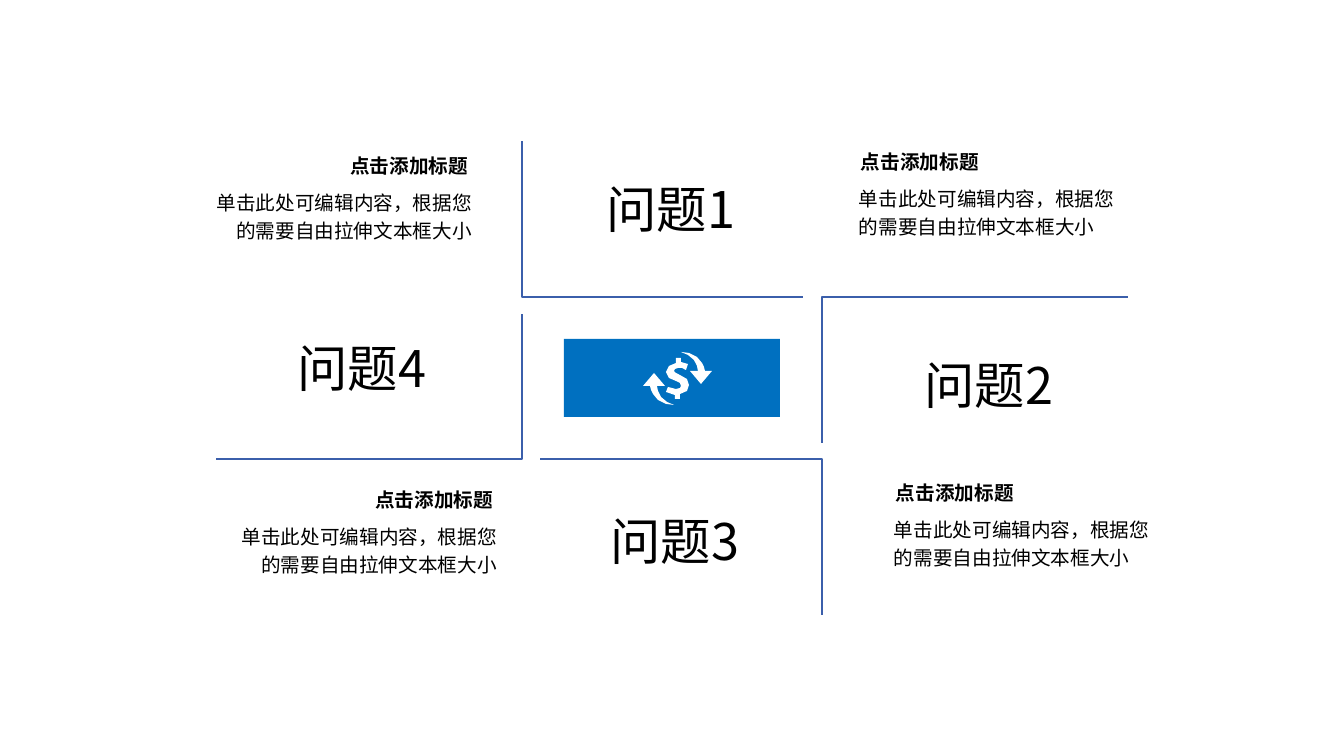
"""Build a slide with four questions pinwheeled around a money-cycle icon."""
import pptx
import pptx.util
from lxml import etree
from pptx.dml.color import RGBColor
from pptx.enum.shapes import MSO_SHAPE
from pptx.enum.text import MSO_ANCHOR, MSO_AUTO_SIZE, PP_ALIGN
from pptx.oxml.ns import qn

PX = 914400 / 100.8
LINE = RGBColor(0x3B, 0x5F, 0xAB)
BLUE = RGBColor(0x00, 0x70, 0xC0)
WHITE = RGBColor(0xFF, 0xFF, 0xFF)
BLACK = RGBColor(0x00, 0x00, 0x00)
CJK = "Noto Sans CJK SC"

prs = pptx.Presentation()
prs.slide_width, prs.slide_height = round(1344 * PX), round(756 * PX)
s = prs.slides.add_slide(prs.slide_layouts[6])


def add_outline(points, close):
    fb = s.shapes.build_freeform(*points[0], scale=PX)
    fb.add_line_segments(points[1:], close=close)
    sp = fb.convert_to_shape()
    sp.shadow.inherit = False
    return sp


def add_text(text, x, y, w, h, size, align, font=CJK):
    tb = s.shapes.add_textbox(*(round(v * PX) for v in (x, y, w, h)))
    tf = tb.text_frame
    tf.word_wrap = True
    tf.auto_size = MSO_AUTO_SIZE.SHAPE_TO_FIT_TEXT
    p = tf.paragraphs[0]
    p.text = text
    p.alignment = align
    p.font.name = font
    p.font.size = pptx.util.Pt(size)
    p.font.color.rgb = BLACK
    ea = etree.SubElement(p._p.pPr.find(qn("a:defRPr")), qn("a:ea"))
    ea.set("typeface", CJK)
    return tf


brackets = [
    [(522, 141), (522, 297), (803, 297)],
    [(1128, 297), (822, 297), (822, 443)],
    [(822, 615), (822, 459), (540, 459)],
    [(216, 459), (522, 459), (522, 314)],
]
for points in brackets:
    sp = add_outline(points, False)
    sp.fill.background()
    sp.line.color.rgb = LINE
    sp.line.width = pptx.util.Pt(1.75)

panel = s.shapes.add_shape(
    MSO_SHAPE.RECTANGLE, *(round(v * PX) for v in (564, 339, 216, 78)))
panel.shadow.inherit = False
panel.fill.solid()
panel.fill.fore_color.rgb = BLUE
panel.line.fill.background()

questions = [(531, 178), (849, 354), (535, 510), (222, 337)]
for number, (x, y) in enumerate(questions, 1):
    tf = add_text(f"问题{number}", x, y, 280, 61, 36, PP_ALIGN.CENTER)
    tf.vertical_anchor = MSO_ANCHOR.MIDDLE
    tf.margin_left = tf.margin_right = tf.margin_top = tf.margin_bottom = 0

captions = [
    (197, 149, 127, PP_ALIGN.RIGHT),
    (849, 145, 2, PP_ALIGN.LEFT),
    (884, 476, 2, PP_ALIGN.LEFT),
    (222, 483, 127, PP_ALIGN.RIGHT),
]
for x, y, indent, align in captions:
    tf = add_text("点击添加标题", x + indent, y, 154, 34, 14, align)
    tf.paragraphs[0].font.bold = True
    tf = add_text("单击此处可编辑内容，根据您的需要自由拉伸文本框大小",
                  x, y + 32, 285, 65, 14, align, "Arial")
    tf.paragraphs[0].line_spacing = 1.2

down_arrow = [
    (705, 371), (704, 367), (702, 363), (697, 357), (689, 353), (681, 352),
    (688, 355), (694, 360), (697, 366), (698, 371), (690, 371), (701, 384),
    (712, 371),
]
up_arrow = [(1355 - x, 757 - y) for x, y in down_arrow]
dollar = [
    (680, 375), (676, 373), (674, 371), (675, 369), (678, 368), (682, 368),
    (686, 370), (688, 364), (681, 362), (681, 358), (676, 358), (676, 363),
    (669, 366), (666, 372), (669, 378), (676, 381), (680, 383), (681, 386),
    (680, 388), (676, 389), (668, 387), (666, 392), (675, 395), (675, 399),
    (680, 399), (680, 394), (687, 391), (689, 385), (687, 379),
]
for points in (down_arrow, up_arrow, dollar):
    sp = add_outline(points, True)
    sp.fill.solid()
    sp.fill.fore_color.rgb = WHITE
    sp.line.fill.background()

prs.save("out.pptx")
